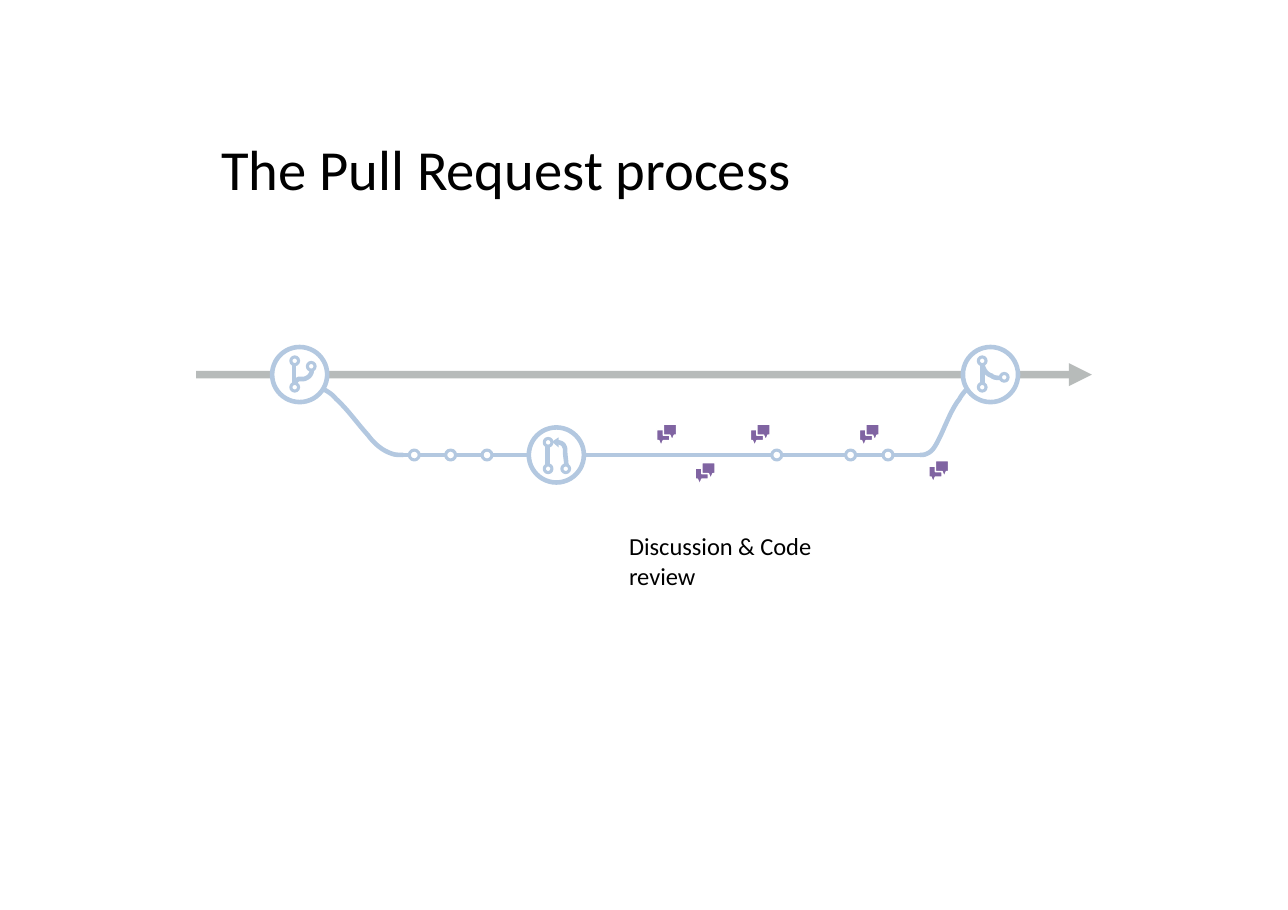
from dataclasses import dataclass
from itertools import pairwise

from lxml import etree
from pptx import Presentation
from pptx.dml.color import RGBColor
from pptx.enum.shapes import MSO_CONNECTOR, MSO_SHAPE
from pptx.enum.text import MSO_ANCHOR, MSO_AUTO_SIZE, PP_ALIGN
from pptx.oxml.ns import qn
from pptx.util import Inches, Pt

STRAIGHT = MSO_CONNECTOR.STRAIGHT
OVAL = MSO_SHAPE.OVAL
MIDDLE = MSO_ANCHOR.MIDDLE
NO_AUTOFIT = MSO_AUTO_SIZE.NONE
LEFT = PP_ALIGN.LEFT

GREY, BLUE, PURPLE, WHITE, BLACK = "A6AAA9", "B3C8E0", "8064A2", "FFFFFF", "000000"
FONT = "Calibri"
TRUNK_Y, BRANCH_Y = 3.4, 4.13
RING, NODE, DOT = 0.5, 0.07, 0.09
BRANCH_END = 8.38

Point = tuple[float, float]


@dataclass
class Icon:
    """A ring with nodes (left, top), a vertical stem and a curved arm."""
    center: Point
    fill: str | None
    nodes: list[Point]
    stem: tuple[Point, Point]
    arm: list[Point]
    arrowhead: list[Point] | None = None


FORK = Icon((2.72, TRUNK_Y), WHITE, [(2.79, 3.29), (2.64, 3.24), (2.64, 3.48)],
            ((2.67, 3.48), (2.67, 3.31)),
            [(2.83, 3.36), (2.83, 3.4), (2.8, 3.43), (2.76, 3.44), (2.74, 3.44),
             (2.72, 3.44), (2.71, 3.44), (2.69, 3.45), (2.68, 3.47), (2.68, 3.48)])
PULL_REQUEST = Icon((5.05, BRANCH_Y), None, [(5.1, 4.22), (4.94, 3.98), (4.94, 4.22)],
                    ((4.97, 4.21), (4.97, 4.05)),
                    [(5.06, 4.02), (5.07, 4.01), (5.08, 4.02), (5.09, 4.02), (5.11, 4.03),
                     (5.12, 4.04), (5.12, 4.05), (5.13, 4.06), (5.13, 4.08), (5.13, 4.1),
                     (5.13, 4.14), (5.14, 4.18), (5.14, 4.22)],
                    [(5.01, 4.01), (5.07, 3.97), (5.07, 4.06)])
MERGE = Icon((8.99, TRUNK_Y), WHITE, [(9.08, 3.39), (8.88, 3.24), (8.88, 3.48)],
             ((8.92, 3.48), (8.92, 3.31)),
             [(8.92, 3.32), (8.93, 3.36), (8.96, 3.4), (9, 3.41),
              (9.02, 3.43), (9.05, 3.43), (9.08, 3.43)])

BRANCH_CURVES = [
    [(2.93, 3.53), (2.97, 3.55), (3.02, 3.58), (3.05, 3.62), (3.16, 3.72), (3.24, 3.84),
     (3.34, 3.95), (3.4, 4.03), (3.47, 4.09), (3.56, 4.12), (3.59, 4.13), (3.62, 4.13),
     (3.66, 4.13)],
    [(8.78, 3.53), (8.76, 3.55), (8.73, 3.58), (8.71, 3.62), (8.64, 3.71), (8.59, 3.84),
     (8.54, 3.95), (8.5, 4.03), (8.47, 4.1), (8.41, 4.12), (8.39, 4.13), (8.37, 4.13),
     (8.35, 4.13)],
]
COMMITS = [3.76, 4.09, 4.42, 7.05, 7.72, 8.06]
BUBBLE = [(0, 0), (0, 0.1), (0.02, 0.1), (0.04, 0.15), (0.06, 0.1), (0.12, 0.1), (0.12, 0)]
COMMENTS = [(5.96, 3.9), (6.31, 4.25), (6.81, 3.9), (7.8, 3.9), (8.43, 4.23)]


def rgb(color: str) -> RGBColor:
    return RGBColor.from_string(color)


def paint(sp, fill: str | None, line: str | None, width: float = 0) -> None:
    sp.shadow.inherit = False
    if fill:
        sp.fill.solid()
        sp.fill.fore_color.rgb = rgb(fill)
    else:
        sp.fill.background()
    if line:
        sp.line.color.rgb = rgb(line)
        sp.line.width = Pt(width)
    else:
        sp.line.fill.background()


def add_line(shapes, start: Point, end: Point, color: str = BLUE, width: float = 3):
    sp = shapes.add_connector(STRAIGHT, *map(Inches, (*start, *end)))
    sp.line.color.rgb = rgb(color)
    sp.line.width = Pt(width)
    etree.SubElement(sp._element.spPr, qn("a:effectLst"))
    return sp


def add_circle(shapes, left: float, top: float, size: float, fill: str | None, width: float) -> None:
    sp = shapes.add_shape(OVAL, *map(Inches, (left, top, size, size)))
    paint(sp, fill, BLUE, width)


def add_outline(shapes, points: list[Point], closed: bool):
    (x, y), *rest = [(Inches(px), Inches(py)) for px, py in points]
    builder = shapes.build_freeform(x, y)
    builder.add_line_segments(rest, close=closed)
    return builder.convert_to_shape()


def bezier(controls: list[Point], steps: int = 8) -> list[Point]:
    """Sample a chain of cubic curves that share their end points."""
    points = [controls[0]]
    for i in range(0, len(controls) - 1, 3):
        for k in range(1, steps + 1):
            t = k / steps
            weights = ((1 - t) ** 3, 3 * t * (1 - t) ** 2, 3 * t * t * (1 - t), t ** 3)
            points.append(tuple(sum(w * c[axis] for w, c in zip(weights, controls[i:i + 4]))
                                for axis in (0, 1)))
    return points


def add_curve(shapes, controls: list[Point]) -> None:
    paint(add_outline(shapes, bezier(controls), False), None, BLUE, 3)


def add_trunk(shapes) -> None:
    sp = add_line(shapes, (1.78, TRUNK_Y), (9.91, TRUNK_Y), GREY, 5)
    ln = sp.line._get_or_add_ln()
    etree.SubElement(ln.find(".//" + qn("a:srgbClr")), qn("a:alpha"), val="80000")
    etree.SubElement(ln, qn("a:tailEnd"), type="triangle")


def add_commit(shapes, x: float) -> None:
    group = shapes.add_group_shape().shapes
    add_circle(group, x - DOT / 2, BRANCH_Y - DOT / 2, DOT, None, 2)
    for start, end in ((-0.04, -0.11), (0.11, 0.04)):
        add_line(group, (x + start, BRANCH_Y), (x + end, BRANCH_Y))


def add_links(shapes) -> None:
    """Join neighbouring stops of the branch, each with its half width."""
    stops = sorted([(x, 0.09) for x in COMMITS]
                   + [(PULL_REQUEST.center[0], RING / 2), (BRANCH_END, 0)])
    for (x1, half1), (x2, half2) in pairwise(stops):
        add_line(shapes, (x2 - half2, BRANCH_Y), (x1 + half1, BRANCH_Y))


def add_icon(shapes, icon: Icon) -> None:
    group = shapes.add_group_shape().shapes
    x, y = icon.center
    add_circle(group, x - RING / 2, y - RING / 2, RING, icon.fill, 3)
    for left, top in icon.nodes:
        add_circle(group, left, top, NODE, None, 2)
    add_line(group, *icon.stem)
    add_curve(group, icon.arm)
    if icon.arrowhead:
        paint(add_outline(group, icon.arrowhead, True), BLUE, None)


def add_comment(shapes, x: float, y: float) -> None:
    group = shapes.add_group_shape().shapes
    back = [(x + dx, y + dy) for dx, dy in BUBBLE]
    front = [(x + 0.18 - dx, y - 0.05 + dy) for dx, dy in BUBBLE]
    for bubble in (back, front):
        paint(add_outline(group, bubble, True), PURPLE, WHITE, 1)


def write(sp, text: str, size: float, margin_left: float = 0.03) -> None:
    tf = sp.text_frame
    margin = Inches(0.03)
    frame = {"word_wrap": True, "auto_size": NO_AUTOFIT, "vertical_anchor": MIDDLE,
             "margin_left": Inches(margin_left), "margin_right": margin,
             "margin_top": margin, "margin_bottom": margin}
    for name, value in frame.items():
        setattr(tf, name, value)
    p = tf.paragraphs[0]
    p.alignment = LEFT
    r = p.add_run()
    r.text = text
    for name, value in {"name": FONT, "size": Pt(size)}.items():
        setattr(r.font, name, value)
    r.font.color.rgb = rgb(BLACK)


def main() -> None:
    prs = Presentation()
    prs.slide_width, prs.slide_height = Inches(11.69), Inches(8.26)
    shapes = prs.slides.add_slide(prs.slide_layouts[5]).shapes

    title = shapes.title
    box = {"left": 1.86, "top": 0.94, "width": 7.98, "height": 1.17}
    for name, value in box.items():
        setattr(title, name, Inches(value))
    write(title, "The Pull Request process", 37, margin_left=0.15)

    add_trunk(shapes)
    for controls in BRANCH_CURVES:
        add_curve(shapes, controls)
    for x in COMMITS:
        add_commit(shapes, x)
    add_links(shapes)
    for icon in (FORK, PULL_REQUEST, MERGE):
        add_icon(shapes, icon)
    for x, y in COMMENTS:
        add_comment(shapes, x, y)

    caption = shapes.add_textbox(*map(Inches, (5.68, 4.96, 1.96, 0.26)))
    write(caption, "Discussion & Code review", 16)
    prs.save("out.pptx")


if __name__ == "__main__":
    main()
